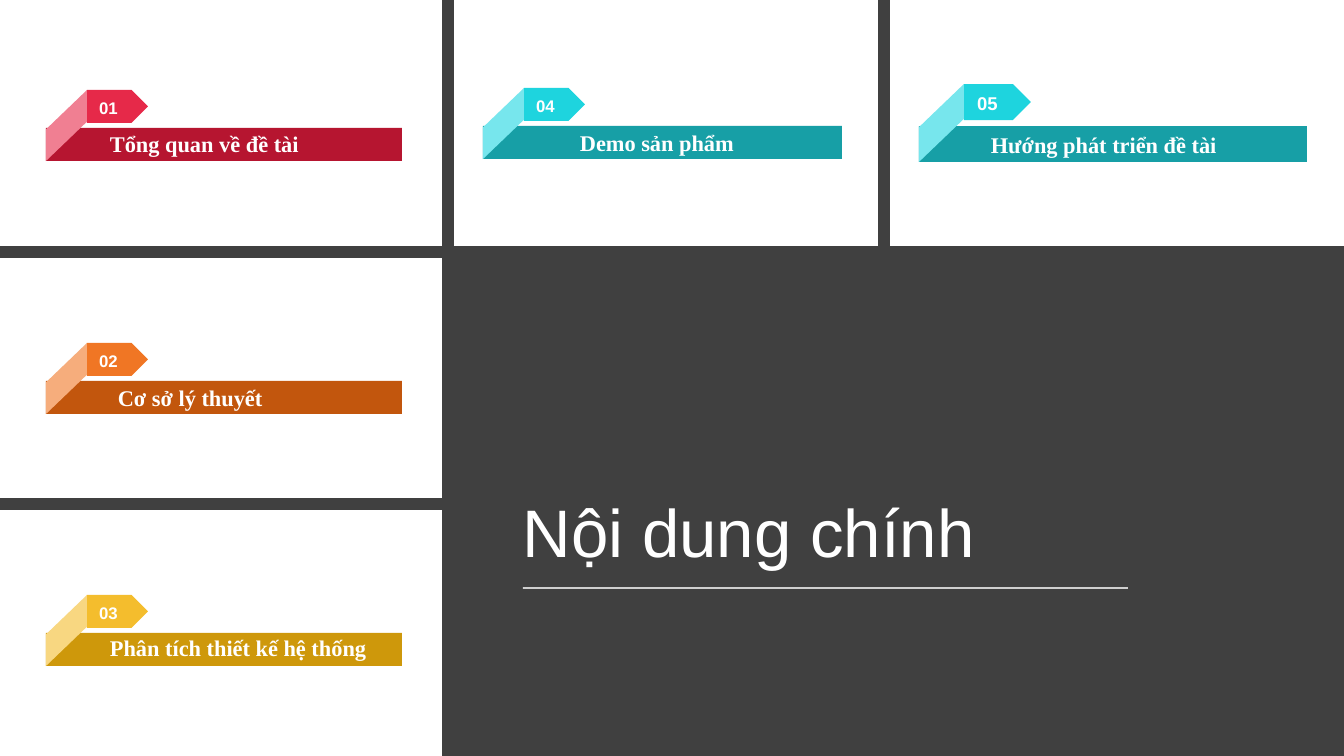
from dataclasses import dataclass

from lxml import etree
from pptx import Presentation
from pptx import util as u
from pptx.dml import color
from pptx.enum import shapes, text
from pptx.oxml import ns

PX = 914400 / 100.8
SHAPE = shapes.MSO_SHAPE


@dataclass(frozen=True)
class Theme:
    dark: str = "404040"
    white: str = "FFFFFF"
    sans: str = "Arial"
    serif: str = "Times New Roman"
    title_size: float = 48
    label_size: float = 16
    number_size: float = 12
    grid_line: float = 8
    title_line: float = 1.25
    red: tuple = ("B61530", "E62949", "F07F92")
    orange: tuple = ("C2560D", "F07624", "F6AD7C")
    yellow: tuple = ("CE980B", "F4BD2D", "F8D781")
    teal: tuple = ("179FA6", "1ED4DE", "77E6ED")


def emu(*lengths):
    return [u.Emu(round(length * PX)) for length in lengths]


def apply(target, values):
    for name, value in values.items():
        setattr(target, name, value)


class SlideBuilder:
    def __init__(self, slide, theme):
        self.slide = slide
        self.theme = theme

    def block(self, box, fill, kind=SHAPE.RECTANGLE, parent=None):
        shape = (parent or self.slide).shapes.add_shape(kind, *emu(*box))
        shape.shadow.inherit = False
        shape.fill.solid()
        shape.fill.fore_color.rgb = color.RGBColor.from_string(fill)
        shape.line.fill.background()
        return shape

    def fold(self, box, fill, parent):
        left, top, width, height = box
        center_x, center_y = left + width / 2, top + height / 2
        turned = (center_x - height / 2, center_y - width / 2, height, width)
        shape = self.block(turned, fill, SHAPE.PARALLELOGRAM, parent)
        shape.adjustments[0] = 0.96
        shape.rotation = 90
        shape.element.spPr.xfrm.set("flipH", "1")

    def words(self, box, content, font, frame=None, layout=None, parent=None):
        shape = (parent or self.slide).shapes.add_textbox(*emu(*box))
        apply(shape.text_frame, {"word_wrap": True, **(frame or {})})
        paragraph = shape.text_frame.paragraphs[0]
        apply(paragraph, {"space_after": u.Pt(6), **(layout or {})})
        run = paragraph.add_run()
        run.text = content
        apply(run.font, font)
        run.font.color.rgb = color.RGBColor.from_string(self.theme.white)

    def line(self, ends, fill, width, opacity=100):
        connector = self.slide.shapes.add_connector(
            shapes.MSO_CONNECTOR.STRAIGHT, *emu(*ends))
        connector.line.width = u.Pt(width)
        connector.line.color.rgb = color.RGBColor.from_string(fill)
        properties = connector.element.spPr
        etree.SubElement(properties, ns.qn("a:effectLst"))
        if opacity < 100:
            tone = properties.find(".//" + ns.qn("a:srgbClr"))
            etree.SubElement(tone, ns.qn("a:alpha"), val=str(opacity * 1000))

    def ribbon(self, number, label, colors, left, top, bar_width,
               label_left, label_top, scale=1.0):
        theme = self.theme
        bar_fill, flag_fill, fold_fill = colors
        fold, total, strip, flag, label_width, number_width, number_height = (
            round(length * scale) for length in (41, 71, 33, 61, 291, 43, 26))
        group = self.slide.shapes.add_group_shape()
        flag_left = left + fold
        frame = {"auto_size": text.MSO_AUTO_SIZE.SHAPE_TO_FIT_TEXT}

        self.block((left, top + total - strip, bar_width, strip), bar_fill, parent=group)
        self.block((flag_left, top, flag, strip), flag_fill, SHAPE.PENTAGON, group)
        self.words(
            (label_left, label_top, label_width, 37), label,
            {"name": theme.serif, "size": u.Pt(theme.label_size), "bold": True},
            frame, parent=group)
        self.fold((left, top, fold, total), fold_fill, group)
        self.words(
            (flag_left, top + 3, number_width, number_height), f"{number:02}",
            {"name": theme.sans, "size": u.Pt(theme.number_size * scale), "bold": True},
            frame, {"alignment": text.PP_ALIGN.CENTER}, group)


def main():
    theme = Theme()
    presentation = Presentation()
    presentation.slide_width, presentation.slide_height = emu(1344, 756)
    slide = presentation.slides.add_slide(presentation.slide_layouts[6])
    builder = SlideBuilder(slide, theme)

    builder.block((448, 254, 896, 502), theme.dark)
    builder.words(
        (513, 322, 713, 255), "Nội dung chính",
        {"name": theme.sans, "size": u.Pt(theme.title_size)},
        {"vertical_anchor": text.MSO_ANCHOR.BOTTOM},
        {"line_spacing": 0.9})

    for ends in (
        (1344, 252, 0, 252),
        (448, 504, 0, 504),
        (448, 0, 448, 756),
        (884, 0, 884, 247),
    ):
        builder.line(ends, theme.dark, theme.grid_line)
    builder.line((523, 588, 1128, 588), theme.white, theme.title_line, 75)

    ribbons = (
        ("Tổng quan về đề tài", theme.red, 46, 90, 356, 100, 125),
        ("Cơ sở lý thuyết", theme.orange, 46, 343, 356, 108, 379),
        ("Phân tích thiết kế hệ thống", theme.yellow, 46, 595, 356, 100, 629),
        ("Demo sản phẩm", theme.teal, 483, 88, 359, 570, 124),
        ("Hướng phát triển đề tài", theme.teal, 919, 84, 388, 981, 126, 1.1),
    )
    for number, ribbon in enumerate(ribbons, 1):
        builder.ribbon(number, *ribbon)

    presentation.save("out.pptx")


if __name__ == "__main__":
    main()
